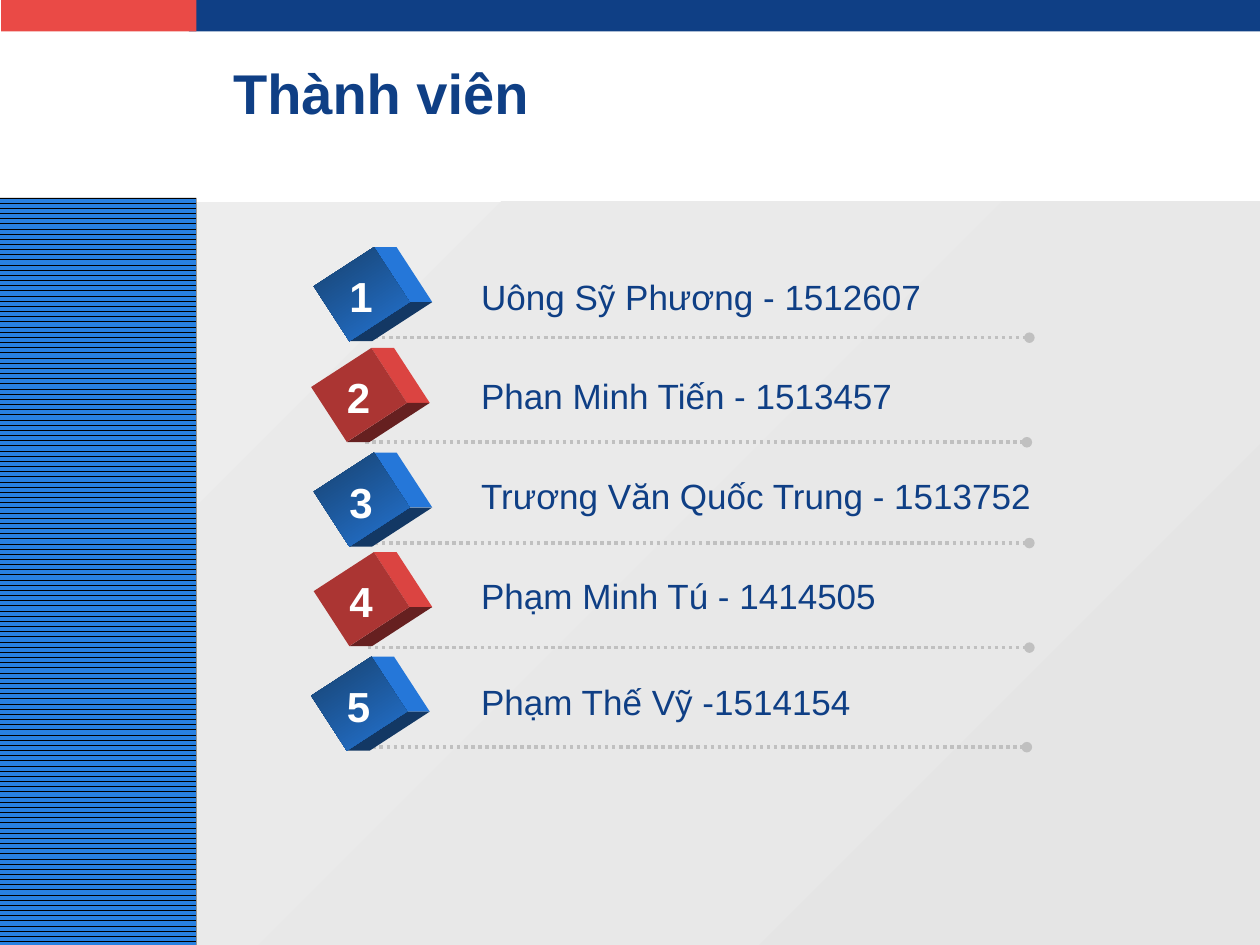
import math

import pptx
import pptx.dml.color
import pptx.enum.dml
import pptx.enum.shapes
import pptx.enum.text
import pptx.oxml
import pptx.oxml.ns
import pptx.util

Inches = pptx.util.Inches
NAVY, RED, WHITE, GREY = "0F3F85", "EA4A46", "FFFFFF", "C0C0C0"
# Cube faces: front gradient start and end, side, underside
BLUE_CUBE = ("17406C", "2475D4", "2577D9", "133864")
RED_CUBE = ("AB3533", "AB3533", "DB4441", "662020")
CUBE_W, CUBE_H, CUBE_TURN, CUBE_DEPTH = 0.52, 0.57, 57, 0.18


def color(hex_value):
    return pptx.dml.color.RGBColor.from_string(hex_value)


class MemberSlide:
    font = "Arial"

    def __init__(self, slide):
        self.slide = slide
        self.shapes = slide.shapes

    def fill_text(self, frame, text, size, text_color=NAVY, bold=False, **formats):
        for name, value in formats.items():
            setattr(frame, name, value)
        paragraph = frame.paragraphs[0]
        paragraph.text = text
        font_formats = {"name": self.font, "size": pptx.util.Pt(size),
                        "bold": bold, "italic": False}
        for name, value in font_formats.items():
            setattr(paragraph.font, name, value)
        paragraph.font.color.rgb = color(text_color)
        return paragraph

    def title(self, text, left, top, width, height):
        title = self.shapes.title
        place = {"left": left, "top": top, "width": width, "height": height}
        for name, value in place.items():
            setattr(title, name, Inches(value))
        heading = self.fill_text(title.text_frame, text, 32, bold=True, word_wrap=True,
                                 vertical_anchor=pptx.enum.text.MSO_ANCHOR.MIDDLE)
        heading.alignment = pptx.enum.text.PP_ALIGN.LEFT

    def text(self, text, left, top, width, height, size, align=None, **formats):
        box = self.shapes.add_textbox(*map(Inches, (left, top, width, height)))
        paragraph = self.fill_text(box.text_frame, text, size, word_wrap=True, **formats)
        paragraph.alignment = align

    def paint(self, shape, fill):
        shape.shadow.inherit = False
        shape.line.fill.background()
        shape.fill.solid()
        shape.fill.fore_color.rgb = color(fill)

    def block(self, left, top, width, height, fill):
        block = self.shapes.add_shape(pptx.enum.shapes.MSO_SHAPE.RECTANGLE,
                                      *map(Inches, (left, top, width, height)))
        self.paint(block, fill)
        return block

    def gradient(self, shape, start, end, angle):
        shape.fill.gradient()
        shape.fill.gradient_angle = angle
        for stop, position, tone in zip(shape.fill.gradient_stops, (0, 1), (start, end)):
            stop.position = position
            stop.color.rgb = color(tone)

    def pattern(self, shape, front, back):
        shape.fill.patterned()
        shape.fill.pattern = pptx.enum.dml.MSO_PATTERN.DARK_HORIZONTAL
        shape.fill.fore_color.rgb = color(front)
        shape.fill.back_color.rgb = color(back)

    def dotted_line(self, left, right, y):
        rule = self.shapes.add_connector(
            pptx.enum.shapes.MSO_CONNECTOR.STRAIGHT,
            *map(Inches, (left, y, right, y)))
        rule.line.color.rgb = color(GREY)
        rule.line.width = pptx.util.Pt(2)
        rule.line.dash_style = pptx.enum.dml.MSO_LINE.ROUND_DOT
        namespace = pptx.oxml.ns.nsdecls("a")
        rule.line._get_or_add_ln().append(
            pptx.oxml.parse_xml(f'<a:tailEnd {namespace} type="oval"/>'))
        rule._element.spPr.append(pptx.oxml.parse_xml(f"<a:effectLst {namespace}/>"))

    def face(self, near, far, fill):
        """Side of a cube, from one front edge back by the cube depth."""
        corners = [near, far, (far[0] + CUBE_DEPTH, far[1]), (near[0] + CUBE_DEPTH, near[1])]
        points = [(Inches(x), Inches(y)) for x, y in corners]
        builder = self.shapes.build_freeform(*points[0])
        builder.add_line_segments(points[1:], close=True)
        self.paint(builder.convert_to_shape(), fill)

    def cube(self, left, top, tones):
        start, end, side, underside = tones
        turn = math.radians(CUBE_TURN)
        center_x, center_y = left + CUBE_W / 2, top + CUBE_H / 2

        def corner(across, down):
            x, y = across * CUBE_W / 2, down * CUBE_H / 2
            return (center_x + x * math.cos(turn) - y * math.sin(turn),
                    center_y + x * math.sin(turn) + y * math.cos(turn))

        upper, right, lower = corner(-1, -1), corner(1, -1), corner(1, 1)
        self.face(upper, right, side)
        self.face(right, lower, underside)
        front = self.block(left, top, CUBE_W, CUBE_H, start)
        front.rotation = CUBE_TURN
        if start != end:
            self.gradient(front, start, end, 0)

    def member(self, number, name, left, cube_top, line_y, name_top):
        self.dotted_line(left + 0.31, left + 5.56, line_y)
        self.cube(left, cube_top, BLUE_CUBE if number % 2 else RED_CUBE)
        self.text(str(number), left + 0.06, cube_top + 0.05, 0.39, 0.5, 24,
                  align=pptx.enum.text.PP_ALIGN.CENTER, text_color=WHITE, bold=True)
        self.text(name, 3.72, name_top, 5, 0.44, 20)


def main():
    deck = pptx.Presentation()
    deck.slide_width, deck.slide_height = Inches(10), Inches(7.5)
    page = MemberSlide(deck.slides.add_slide(deck.slide_layouts[5]))

    # Header bars, content background and striped side panel
    page.block(1.5, 0, 8.5, 0.25, NAVY)
    content = page.block(0, 1.6, 10, 5.9, "EEEEEE")
    page.gradient(content, "EDEDED", "E5E5E5", 315)
    side_panel = page.block(0, 1.57, 1.56, 5.93, "2881E2")
    page.pattern(side_panel, "2881E2", "000000")
    page.block(0.01, 0, 1.55, 0.25, RED)

    page.title("Thành viên", 1.75, 0.47, 7.31, 0.53)

    # Members: name, left, cube top, line height, name top
    members = [
        ("Uông Sỹ Phương - 1512607", 2.61, 2.05, 2.68, 2.14),
        ("Phan Minh Tiến - 1513457", 2.59, 2.85, 3.51, 2.92),
        ("Trương Văn Quốc Trung - 1513752", 2.61, 3.68, 4.31, 3.72),
        ("Phạm Minh Tú - 1414505", 2.61, 4.47, 5.14, 4.51),
        ("Phạm Thế Vỹ -1514154", 2.59, 5.3, 5.93, 5.35),
    ]
    for number, details in enumerate(members, start=1):
        page.member(number, *details)

    deck.save("out.pptx")


if __name__ == "__main__":
    main()
